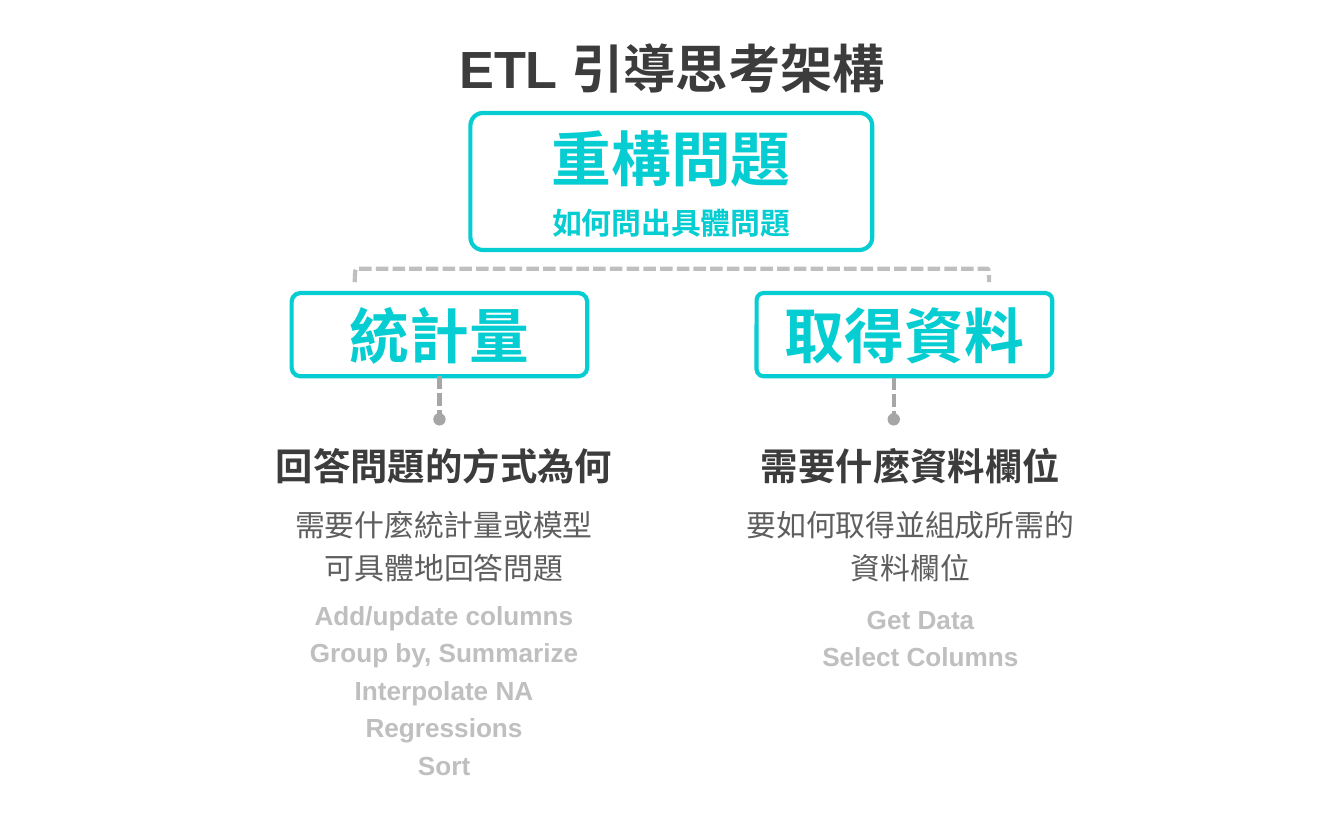
from copy import deepcopy

from lxml import etree
from pptx import Presentation
from pptx.dml.color import RGBColor
from pptx.enum.dml import MSO_LINE
from pptx.enum.shapes import MSO_CONNECTOR, MSO_SHAPE
from pptx.enum.text import MSO_ANCHOR, MSO_AUTO_SIZE, PP_ALIGN
from pptx.oxml.ns import qn
from pptx.util import Pt

PX = 9144  # 100 px to the inch
FONT = "Arial"
TEAL = RGBColor(0x06, 0xCD, 0xD2)
DARK = RGBColor(0x3C, 0x3C, 0x3C)
BODY = RGBColor(0x5E, 0x5E, 0x5E)
GRAY = RGBColor(0xA6, 0xA6, 0xA6)
PALE = RGBColor(0xBF, 0xBF, 0xBF)
CENTER = PP_ALIGN.CENTER
MIDDLE = MSO_ANCHOR.MIDDLE
GROW = MSO_AUTO_SIZE.SHAPE_TO_FIT_TEXT
DASH = MSO_LINE.SQUARE_DOT
ROUNDED = MSO_SHAPE.ROUNDED_RECTANGLE
BRACKET = MSO_SHAPE.LEFT_BRACKET
STRAIGHT = MSO_CONNECTOR.STRAIGHT
BOTTOM = 2

COLUMNS = [
    {
        "left": 177, "label_left": 217, "label": "統計量", "radius": 0.105,
        "stem": 327, "question": "回答問題的方式為何",
        "detail": "需要什麼統計量或模型\n可具體地回答問題",
        "steps_box": (185, 437, 291, 149),
        "steps": ["Add/update columns", "Group by, Summarize",
                  "Interpolate NA", "Regressions", "Sort"],
    },
    {
        "left": 524, "label_left": 563, "label": "取得資料", "radius": 0.085,
        "stem": 665, "question": "需要什麼資料欄位",
        "detail": "要如何取得並組成所需的\n資料欄位",
        "steps_box": (547, 440, 276, 62),
        "steps": ["Get Data", "Select Columns"],
    },
]


def scaled(*lengths):
    return [length * PX for length in lengths]


def style_line(line, color, dashed=False):
    line.color.rgb = color
    line.width = Pt(2.25)
    if dashed:
        line.dash_style = DASH


def write(frame, lines, spacing=None, after=0, inset=4):
    """Fill a frame with centred (text, size, color, bold) paragraphs."""
    frame.word_wrap = True
    if inset is not None:
        frame.margin_left = frame.margin_right = inset * PX
        frame.margin_top = frame.margin_bottom = inset * PX
    for index, (text, size, color, bold) in enumerate(lines):
        para = frame.add_paragraph() if index else frame.paragraphs[0]
        para.text = text
        para.alignment = CENTER
        para.space_after = Pt(after)
        if spacing:
            para.line_spacing = spacing
        for span in para.runs:
            span.font.name = FONT
            span.font.size = Pt(size)
            span.font.bold = bold
            span.font.color.rgb = color
        # Line breaks take the size of the text around them
        for line_break in para._p.findall(qn("a:br")):
            line_break.insert(0, deepcopy(para.runs[0]._r.rPr))


def add_text(page, box, lines, **options):
    frame = page.shapes.add_textbox(*scaled(*box)).text_frame
    write(frame, lines, spacing=1.2, **options)
    frame.auto_size = GROW


def add_label(page, box, radius, lines, after=0):
    label = page.shapes.add_shape(ROUNDED, *scaled(*box))
    label.adjustments[0] = radius
    label.shadow.inherit = False
    label.fill.background()
    style_line(label.line, TEAL)
    label.text_frame.vertical_anchor = MIDDLE
    write(label.text_frame, lines, after=after)
    return label


def add_stem(page, x, top, bottom):
    stem = page.shapes.add_connector(STRAIGHT, *scaled(x, top, x, bottom))
    style_line(stem.line, GRAY, dashed=True)
    etree.SubElement(stem.line._get_or_add_ln(), qn("a:tailEnd"), type="oval")
    etree.SubElement(stem._element.spPr, qn("a:effectLst"))
    return stem


def add_header(page, left, top):
    """Title and the main question."""
    add_text(page, (left, top, 724, 62),
             [("ETL 引導思考架構", 28, DARK, True)], after=6, inset=None)
    add_label(page, (left + 212, top + 71, 299, 102), 0.092,
              [("重構問題", 32, TEAL, True),
               ("如何問出具體問題", 16, TEAL, True)], after=6)


def add_bracket(page, left, top, width, height):
    """Dashed bracket opening downwards: a left bracket turned a quarter."""
    turned_left = left + (width - height) / 2
    turned_top = top + (height - width) / 2
    box = [int(n) for n in scaled(turned_left, turned_top, height, width)]
    bracket = page.shapes.add_shape(BRACKET, *box)
    bracket.rotation = 90
    bracket.shadow.inherit = False
    bracket.fill.background()
    style_line(bracket.line, PALE, dashed=True)


def add_column(page, top, column):
    """Label, stem, question with detail, and the list of steps."""
    label = add_label(page, (column["label_left"], top, 220, 62),
                      column["radius"], [(column["label"], 32, TEAL, True)])
    stem = add_stem(page, column["stem"], top + 63, top + 94)
    if column["stem"] == column["label_left"] + 110:
        stem.begin_connect(label, BOTTOM)
    add_text(page, (column["left"], top + 101, 307, 121),
             [(column["question"], 20, DARK, True),
              (column["detail"], 16, BODY, False)], after=6)
    add_text(page, column["steps_box"],
             [(step, 14, PALE, True) for step in column["steps"]])


def main():
    deck = Presentation()
    deck.slide_width, deck.slide_height = scaled(1000, 625)
    page = deck.slides.add_slide(deck.slide_layouts[6])
    add_header(page, 138, 13)
    add_bracket(page, 264, 200, 472, 10)
    for column in COLUMNS:
        add_column(page, 218, column)
    deck.save("out.pptx")


if __name__ == "__main__":
    main()
